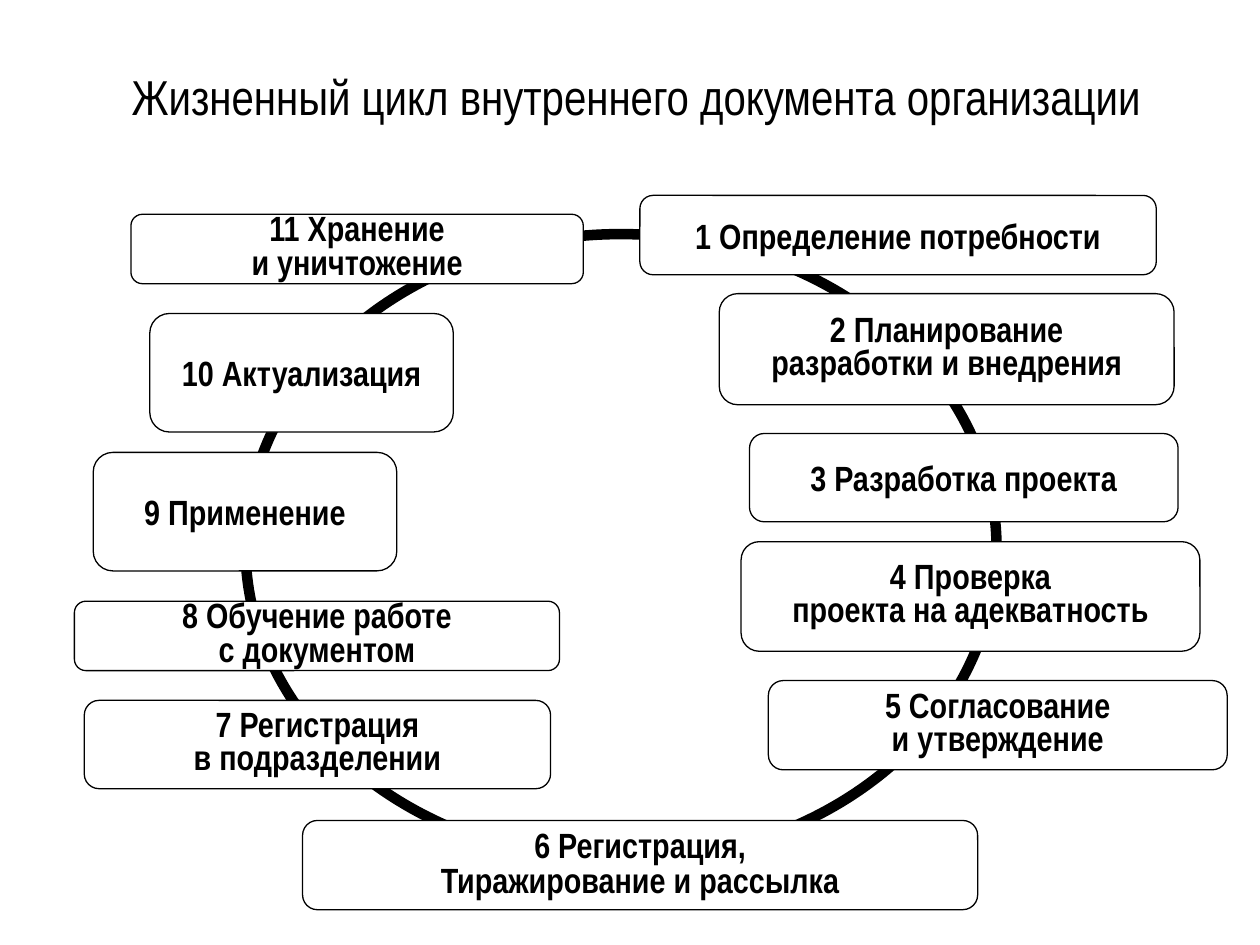
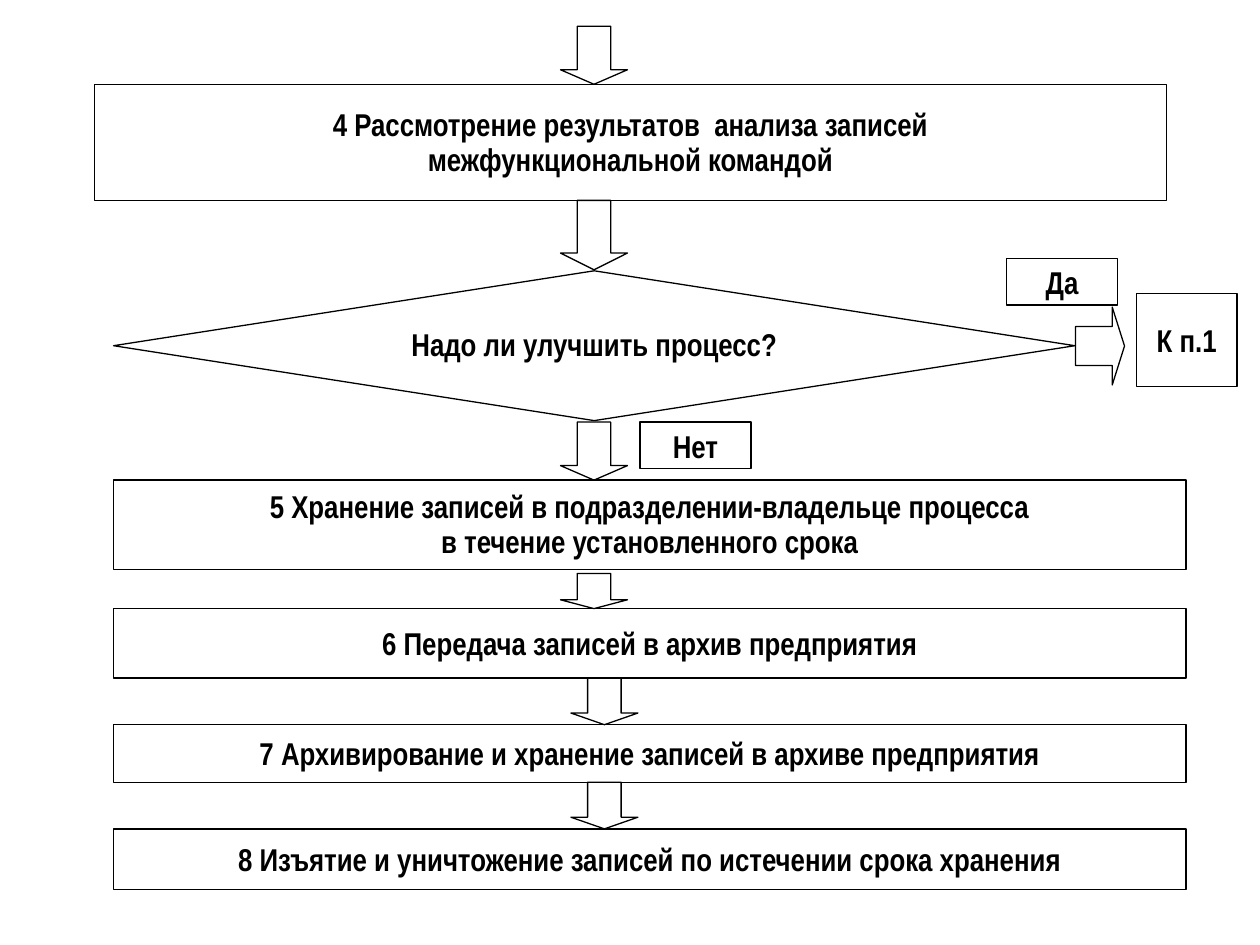
from pptx import Presentation
from pptx import util as u
from pptx.dml import color
from pptx.enum import shapes, text

COLORS = {"ink": "000000", "paper": "FFFFFF"}
FONT = "Arial Narrow"
KIND = shapes.MSO_SHAPE


def style_text(frame, words, size, bold=True, spacing=None):
    frame.text = words
    frame.vertical_anchor = text.MSO_ANCHOR.MIDDLE
    for line in frame.paragraphs:
        line.alignment = text.PP_ALIGN.CENTER
        if spacing:
            line.line_spacing = u.Pt(spacing)
        for run in line.runs:
            run.font.name = FONT
            run.font.size = u.Pt(size)
            run.font.bold = bold
            run.font.color.rgb = color.RGBColor.from_string(COLORS["ink"])


def outline(slide, kind, place, weight=0.75, filled=False):
    figure = slide.shapes.add_shape(kind, *[u.Cm(length) for length in place])
    figure.shadow.inherit = False
    if filled:
        figure.fill.solid()
        figure.fill.fore_color.rgb = color.RGBColor.from_string(COLORS["paper"])
    else:
        figure.fill.background()
    figure.line.color.rgb = color.RGBColor.from_string(COLORS["ink"])
    figure.line.width = u.Pt(weight)
    figure.text_frame.word_wrap = False
    return figure


deck = Presentation()
deck.slide_width, deck.slide_height = u.Cm(25.4), u.Cm(19.05)

life_cycle = deck.slides.add_slide(deck.slide_layouts[5])
heading = life_cycle.shapes.title
heading.left, heading.top = u.Cm(1.3), u.Cm(0.91)
heading.width, heading.height = u.Cm(23.04), u.Cm(2.03)
style_text(heading.text_frame, "Жизненный цикл внутреннего документа организации", 28, bold=False)

outline(life_cycle, KIND.OVAL, (4.95, 4.72, 15.14, 12.65), weight=6, filled=True)

stages = [
    ("Определение потребности", (12.9, 3.94, 10.41, 1.6)),
    ("Планирование\nразработки и внедрения", (14.5, 5.92, 9.17, 2.24)),
    ("Разработка проекта", (15.11, 8.74, 8.64, 1.78)),
    ("Проверка\nпроекта на адекватность", (14.94, 10.92, 9.25, 2.21)),
    ("Согласование\nи утверждение", (15.49, 13.72, 9.25, 1.8)),
    ("Регистрация,\nТиражирование и рассылка", (6.1, 16.54, 13.61, 1.8)),
    ("Регистрация\nв подразделении", (1.7, 14.12, 9.4, 1.78)),
    ("Обучение работе\nс документом", (1.5, 12.12, 9.78, 1.4)),
    ("Применение", (1.88, 9.12, 6.12, 2.39)),
    ("Актуализация", (3.02, 6.32, 6.12, 2.39)),
    ("Хранение\nи уничтожение", (2.64, 4.32, 9.12, 1.4)),
]
for number, (stage, place) in enumerate(stages, start=1):
    card = outline(life_cycle, KIND.ROUNDED_RECTANGLE, place, filled=True)
    spacing = 19 if "\n" in stage else None
    if number == 6:
        spacing = 20
    style_text(card.text_frame, f"{number} {stage}", 20, spacing=spacing)

records = deck.slides.add_slide(deck.slide_layouts[6])
STEP_LEFT, STEP_WIDTH = 2.29, 21.62
steps = [
    ("4 Рассмотрение результатов  анализа записей\nмежфункциональной командой", (1.9, 1.7, STEP_WIDTH, 2.34)),
    ("5 Хранение записей в подразделении-владельце процесса\nв течение установленного срока",
     (STEP_LEFT, 9.68, STEP_WIDTH, 1.8)),
    ("6 Передача записей в архив предприятия", (STEP_LEFT, 12.27, STEP_WIDTH, 1.4)),
    ("7 Архивирование и хранение записей в архиве предприятия", (STEP_LEFT, 14.6, STEP_WIDTH, 1.17)),
    ("8 Изъятие и уничтожение записей по истечении срока хранения", (STEP_LEFT, 16.71, STEP_WIDTH, 1.22)),
    ("К п.1", (22.91, 5.92, 2.03, 1.88)),
    ("Да", (20.29, 5.21, 2.24, 0.94)),
    ("Нет", (12.9, 8.51, 2.24, 0.94)),
]
for step, place in steps:
    card = outline(records, KIND.RECTANGLE, place)
    style_text(card.text_frame, step, 18, spacing=20 if "\n" in step else None)

decision = outline(records, KIND.DIAMOND, (STEP_LEFT, 5.46, 19.38, 3.02))
style_text(decision.text_frame, "Надо ли улучшить процесс?", 18, spacing=19)

ARROW_WIDTH = 1.35
arrows = [
    (11.3, 0.53, ARROW_WIDTH, 1.17, 0),
    (11.3, 4.04, ARROW_WIDTH, 1.4, 0),
    (11.3, 8.51, ARROW_WIDTH, 1.17, 0),
    (11.3, 11.56, ARROW_WIDTH, 0.71, 0),
    (11.51, 13.67, ARROW_WIDTH, 0.94, 0),
    (11.51, 15.77, ARROW_WIDTH, 0.94, 0),
    (21.39, 6.48, 1.57, 0.99, 270),
]
for *place, turn in arrows:
    arrow = outline(records, KIND.DOWN_ARROW, place)
    arrow.adjustments[1] = 0.25
    arrow.rotation = turn

deck.save("out.pptx")
